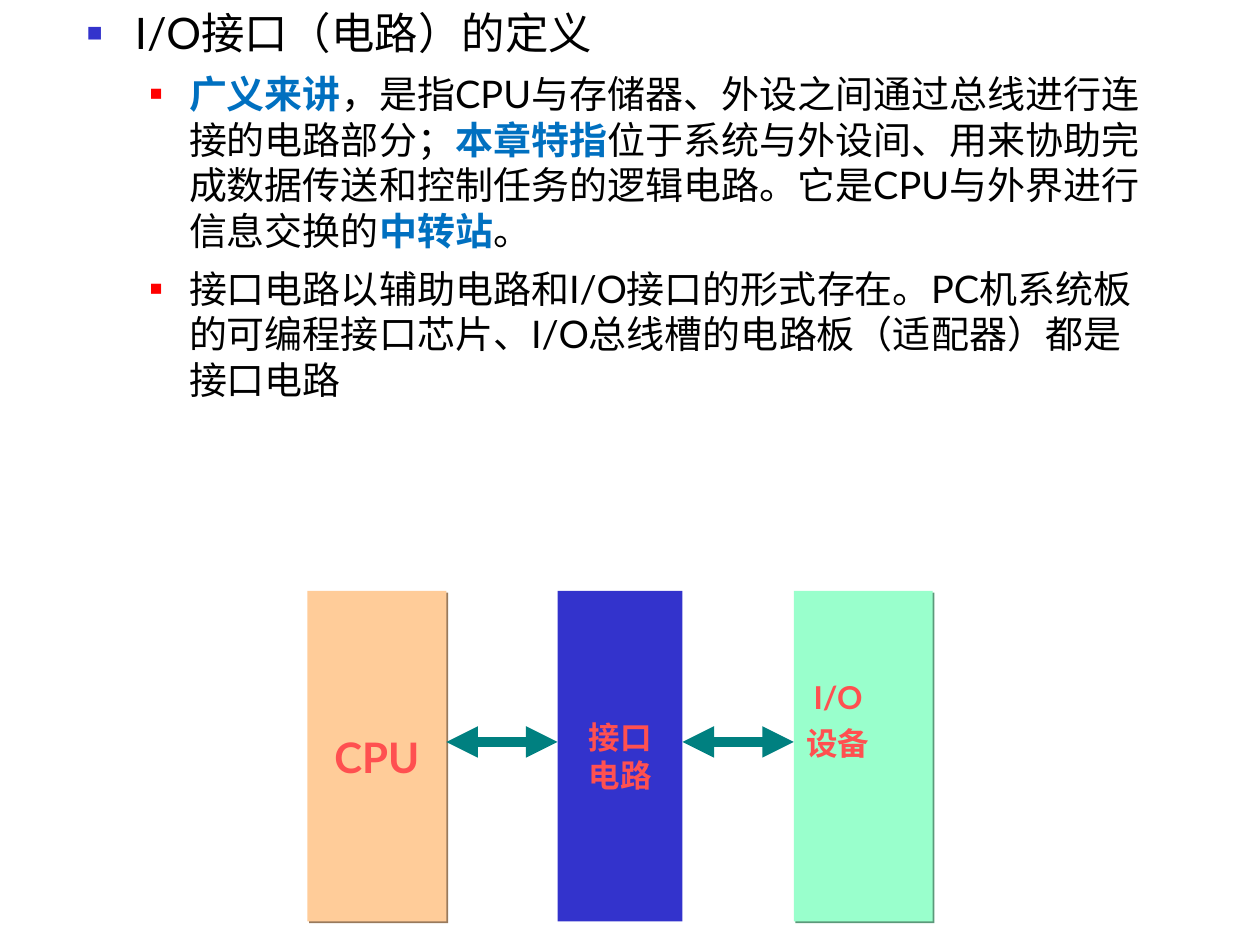
from itertools import pairwise

from lxml.etree import SubElement
from pptx import Presentation
from pptx.dml.color import RGBColor
from pptx.enum.shapes import MSO_CONNECTOR, MSO_SHAPE
from pptx.enum.text import MSO_ANCHOR as Anchor, MSO_AUTO_SIZE as AutoSize, PP_ALIGN as Align
from pptx.oxml.ns import qn
from pptx.util import Pt

FONT = "Lato"
BLACK, BLUE, RED, INDIGO = "000000", "0070C0", "FF0000", "3333CC"
CORAL, TEAL = "FF5050", "008080"

# Each point: level, spans of (text, highlighted)
POINTS = [
    (0, [("I/O接口（电路）的定义", False)]),
    (1, [("广义来讲", True),
         ("，是指CPU与存储器、外设之间通过总线进行连接的电路部分；", False),
         ("本章特指", True),
         ("位于系统与外设间、用来协助完成数据传送和控制任务的逻辑电路。它是CPU与外界进行信息交换的", False),
         ("中转站", True),
         ("。", False)]),
    (1, [("接口电路以辅助电路和I/O接口的形式存在。PC机系统板的可编程接口芯片、"
          "I/O总线槽的电路板（适配器）都是接口电路", False)]),
]
# Per level: text size, left margin, hanging indent, space before, bullet colour, bullet percent
LEVELS = [(24.8, 27.4, -27.4, 0, INDIGO, 60), (21.7, 58.3, -22.3, 7, RED, 55)]

BLOCK_TOP, BLOCK_HEIGHT, ARROW_Y = 337.7, 188.9, 424


def rgb(hex_colour):
    return RGBColor.from_string(hex_colour)


def style(font, size, colour, bold=False):
    font.name, font.size, font.bold = FONT, Pt(size), bold
    font.color.rgb = rgb(colour)


def indent(para, left, first=0):
    props = para._p.get_or_add_pPr()
    props.set("marL", str(Pt(left)))
    props.set("indent", str(Pt(first)))
    return props


def add_bullet(props, colour, percent):
    SubElement(SubElement(props, qn("a:buClr")), qn("a:srgbClr"), val=colour)
    SubElement(props, qn("a:buSzPct"), val=str(percent * 1000))
    SubElement(props, qn("a:buFont"), typeface="Arial")
    SubElement(props, qn("a:buChar"), char="■")


def fill_points(body):
    body.left, body.top, body.width, body.height = Pt(42.5), Pt(0), Pt(623.5), Pt(236)
    frame = body.text_frame
    frame.auto_size = AutoSize.NONE
    frame.vertical_anchor = Anchor.TOP
    for number, (level, spans) in enumerate(POINTS):
        size, left, first, before, bullet_colour, percent = LEVELS[level]
        para = frame.add_paragraph() if number else frame.paragraphs[0]
        para.level = level
        para.space_before = Pt(before)
        add_bullet(indent(para, left, first), bullet_colour, percent)
        style(para.font, size, BLACK)
        for text, highlighted in spans:
            span = para.add_run()
            span.text = text
            if highlighted:
                span.font.bold = True
                span.font.color.rgb = rgb(BLUE)


def add_offset_shadow(shape, colour):
    effects = shape._element.spPr.find(qn("a:effectLst"))
    shadow = SubElement(effects, qn("a:outerShdw"), dist=str(Pt(1.4)), dir="2700000", algn="ctr")
    SubElement(shadow, qn("a:srgbClr"), val=colour)


def add_block(slide, left, width, colour, lines=(), size=18, shadow=None):
    block = slide.shapes.add_shape(
        MSO_SHAPE.RECTANGLE, Pt(left), Pt(BLOCK_TOP), Pt(width), Pt(BLOCK_HEIGHT))
    block.fill.solid()
    block.fill.fore_color.rgb = rgb(colour)
    block.line.fill.background()
    block.shadow.inherit = False
    if shadow:
        add_offset_shadow(block, shadow)
    frame = block.text_frame
    frame.word_wrap = False
    frame.vertical_anchor = Anchor.MIDDLE
    for number, line in enumerate(lines):
        para = frame.add_paragraph() if number else frame.paragraphs[0]
        para.text = line
        para.alignment = Align.CENTER
        style(para.font, size, CORAL, bold=True)
    return block


def add_device_label(slide, left, width):
    frame = slide.shapes.add_textbox(Pt(left), Pt(389.5), Pt(width), Pt(49)).text_frame
    frame.word_wrap = True
    first, second = frame.paragraphs[0], frame.add_paragraph()
    first.text, second.text = "I/O", "设备"
    indent(first, 4.2)
    second.space_before = Pt(11.2)
    for para in (first, second):
        para.line_spacing = 0.7
        style(para.font, 18, CORAL, bold=True)


def add_double_arrow(slide, start, end):
    arrow = slide.shapes.add_connector(
        MSO_CONNECTOR.STRAIGHT, start, Pt(ARROW_Y), end, Pt(ARROW_Y))
    arrow.line.width = Pt(6)
    arrow.line.color.rgb = rgb(TEAL)
    line = arrow.line._get_or_add_ln()
    for tag in ("a:headEnd", "a:tailEnd"):
        SubElement(line, qn(tag), type="triangle")
    SubElement(arrow._element.spPr, qn("a:effectLst"))


def main():
    deck = Presentation()
    deck.slide_width, deck.slide_height = Pt(720), Pt(540)
    slide = deck.slides.add_slide(deck.slide_layouts[1])
    title = slide.shapes.title._element
    title.getparent().remove(title)
    fill_points(slide.placeholders[1])

    blocks = [
        add_block(slide, 175.7, 79.4, "FFCC99", ["CPU"], size=24, shadow="997A5C"),
        add_block(slide, 318.6, 71.4, INDIGO, ["接口", "电路"]),
        add_block(slide, 453.6, 79.4, "99FFCC", shadow="5C997A"),
    ]
    add_device_label(slide, 453.6, 79.4)
    for before, after in pairwise(blocks):
        add_double_arrow(slide, before.left + before.width, after.left)
    deck.save("out.pptx")


if __name__ == "__main__":
    main()
